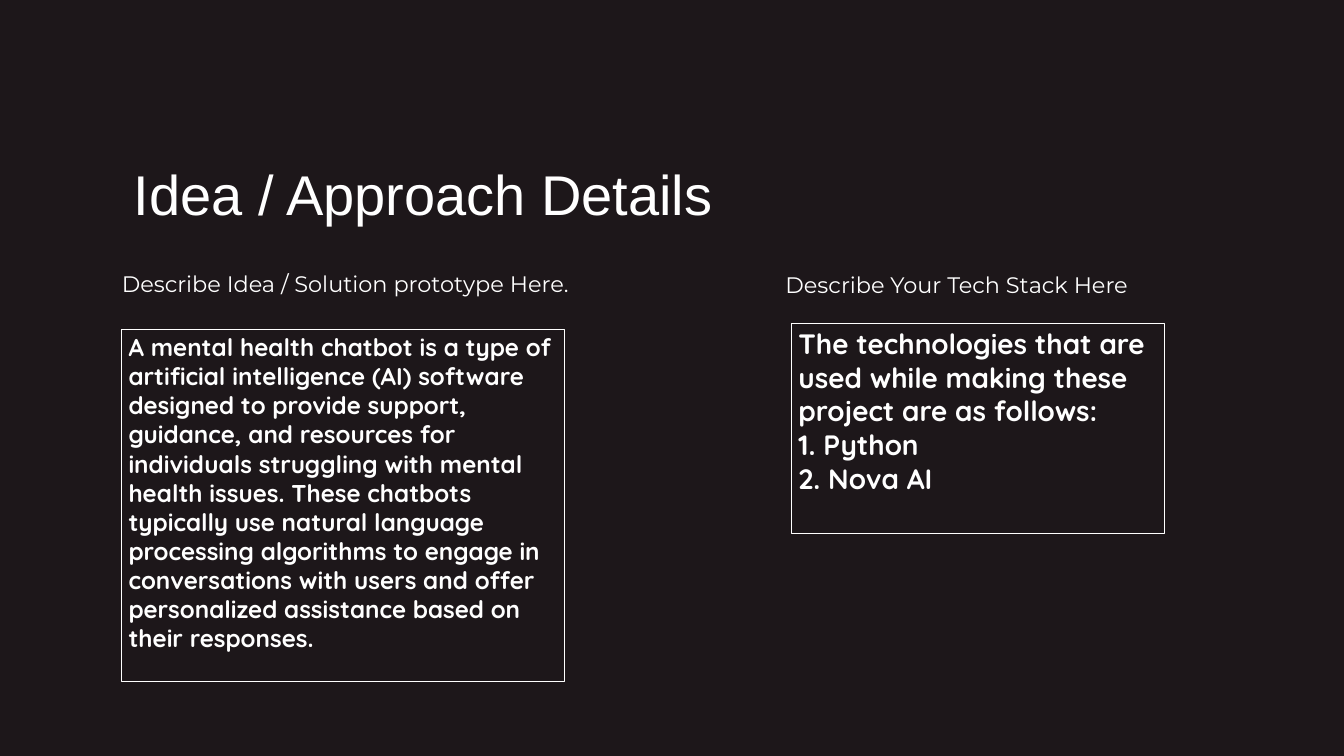
from dataclasses import dataclass

from lxml.etree import SubElement
from pptx import Presentation
from pptx.dml.color import RGBColor
from pptx.enum.text import MSO_ANCHOR as Anchor, MSO_AUTO_SIZE as AutoSize, PP_ALIGN as Align
from pptx.oxml.ns import qn
from pptx.util import Emu, Pt

PX = 9525  # EMU per px, 96 px to the inch


@dataclass(frozen=True)
class Theme:
    background: RGBColor = RGBColor(0x1D, 0x17, 0x1A)
    ink: RGBColor = RGBColor(0xFF, 0xFF, 0xFF)
    title_font: str = "Arial"
    heading_font: str = "Montserrat"
    body_font: str = "Quicksand"
    title_size: int = 60
    heading_size: int = 24
    idea_size: int = 26
    stack_size: int = 30
    border: float = 0.75
    leading: float = 1.4


class SlideBuilder:
    def __init__(self, page, theme):
        self.page = page
        self.theme = theme
        page.background.fill.solid()
        page.background.fill.fore_color.rgb = theme.background

    def place(self, shape, area):
        shape.left, shape.top, shape.width, shape.height = (Emu(v * PX) for v in area)

    def set_text(self, box, lines, font, size, align=Align.LEFT, leading=1.0, bold=False):
        frame = box.text_frame
        frame.text = "\n".join(lines)
        frame.word_wrap = True
        frame.auto_size = AutoSize.NONE
        frame.vertical_anchor = Anchor.TOP
        for para in frame.paragraphs:
            para.alignment = align
            para.line_spacing = leading
            para.space_before = Pt(0)
            for span in para.runs:
                span.font.name = font
                span.font.size = Pt(size)
                span.font.bold = bold
                span.font.color.rgb = self.theme.ink

    def clear_insets(self, box):
        frame = box.text_frame
        frame.margin_left = frame.margin_top = frame.margin_right = frame.margin_bottom = 0

    def title(self, text, area):
        box = self.page.shapes.title
        self.place(box, area)
        self.clear_insets(box)
        self.set_text(box, [text], self.theme.title_font, self.theme.title_size,
                      Align.CENTER, self.theme.leading)

    def heading(self, text, area):
        box = self.page.shapes.add_textbox(0, 0, 0, 0)
        self.place(box, area)
        self.clear_insets(box)
        self.set_text(box, [text], self.theme.heading_font, self.theme.heading_size,
                      leading=self.theme.leading)

    def panel(self, index, lines, size, area):
        """Fill an outlined body placeholder with unbulleted paragraphs."""
        box = self.page.placeholders[index]
        self.place(box, area)
        box.line.color.rgb = self.theme.ink
        box.line.width = Pt(self.theme.border)
        self.set_text(box, lines, self.theme.body_font, size, bold=True)
        for para in box.text_frame.paragraphs:
            properties = para._p.get_or_add_pPr()
            properties.set("marL", "0")
            properties.set("indent", "0")
            SubElement(properties, qn("a:buNone"))


def main():
    deck = Presentation()
    deck.slide_width, deck.slide_height = Emu(1920 * PX), Emu(1080 * PX)
    theme = Theme()
    two_content = deck.slide_layouts.get_by_name("Two Content")
    builder = SlideBuilder(deck.slides.add_slide(two_content), theme)

    builder.title("Idea / Approach Details", (108, 189, 993, 135))
    builder.heading("Describe Idea / Solution prototype Here.", (174, 371, 852, 55))
    builder.heading("Describe Your Tech Stack Here", (1122, 372, 691, 55))
    builder.panel(1, [
        "A mental health chatbot is a type of artificial intelligence (AI) software "
        "designed to provide support, guidance, and resources for individuals "
        "struggling with mental health issues. These chatbots typically use natural "
        "language processing algorithms to engage in conversations with users and "
        "offer personalized assistance based on their responses.",
    ], theme.idea_size, (174, 470, 632, 504))
    builder.panel(2, [
        "The technologies that are used while making these project are as follows:",
        "1. Python",
        "2. Nova AI",
    ], theme.stack_size, (1131, 462, 533, 300))

    deck.save("out.pptx")


if __name__ == "__main__":
    main()
